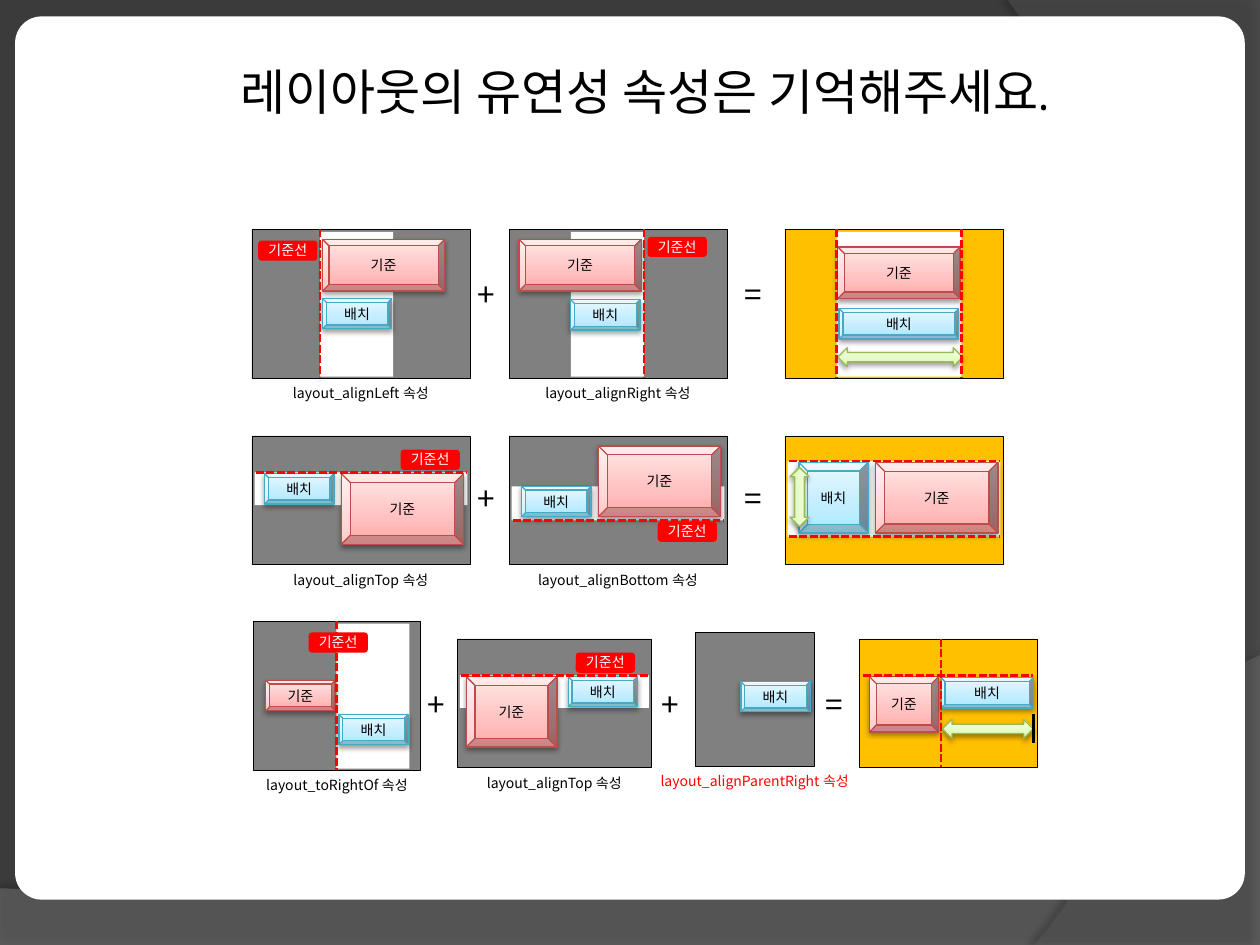
from dataclasses import dataclass
from itertools import pairwise
from typing import NamedTuple, Optional, Union

from lxml.etree import SubElement
from pptx import Presentation
from pptx.dml.color import RGBColor
from pptx.enum.dml import MSO_LINE
from pptx.enum.shapes import MSO_CONNECTOR, MSO_SHAPE as SHAPE
from pptx.enum.text import MSO_ANCHOR as ANCHOR, MSO_AUTO_SIZE as AUTO, PP_ALIGN as ALIGN
from pptx.oxml.ns import qn
from pptx.util import Cm, Pt


@dataclass(frozen=True)
class Theme:
    backdrop: str = "3B3B3B"
    sweep: str = "7F7F7F"
    side: str = "5E5E5E"
    black: str = "000000"
    white: str = "FFFFFF"
    red: str = "FF0000"
    grey: str = "808080"
    amber: str = "FFC000"
    pink: tuple = ("FFA6A5", "FFC0BF", "FFE7E7")
    pink_line: str = "BF4C48"
    blue: tuple = ("A7E6FF", "C1EDFF", "E7F8FF")
    blue_line: str = "46AAC5"
    green: tuple = ("DAFDA7", "E4FCC2", "F5FFE7")
    green_line: str = "98B955"
    font: str = "Noto Sans CJK KR"
    title_font: str = "Cambria"
    title: float = 28
    sign: float = 18
    small: float = 8


T = Theme()


class Shadow(NamedTuple):
    alpha: int
    blur: float
    dist: float
    angle: int


class Look(NamedTuple):
    geom: SHAPE
    fill: Union[str, tuple]
    w: float = 0
    h: float = 0
    line: Optional[str] = None
    width: float = 0.75
    shadow: Optional[Shadow] = None
    text: str = ""


SOFT = Shadow(38, 3.1, 1.6, 90)
GIVEN = Look(SHAPE.RECTANGLE, T.grey, line=T.black, width=0.25)
RESULT = GIVEN._replace(fill=T.amber)
BAND = Look(SHAPE.RECTANGLE, T.white)
BASE = Look(SHAPE.BEVEL, T.pink, 0.97, 0.56, T.pink_line, shadow=SOFT, text="기준")
LOW_BASE = BASE._replace(h=0.41)
PLACED = Look(SHAPE.BEVEL, T.blue, 0.55, 0.24, T.blue_line, shadow=SOFT, text="배치")
STRETCH = Look(SHAPE.LEFT_RIGHT_ARROW, T.green, 0.99, 0.15, T.green_line, shadow=SOFT)
TAG = Look(SHAPE.ROUNDED_RECTANGLE, T.red, 0.47, 0.16)
CARD = Look(SHAPE.ROUNDED_RECTANGLE, T.white, 9.76, 7.01)


class Block(NamedTuple):
    """Shape placed from its panel's corner; its look gives the usual size."""
    look: Look
    x: float
    y: float
    w: float = 0
    h: float = 0
    rotation: float = 0


class Strip(NamedTuple):
    """White band across a panel, with a guide on the named edges."""
    upright: bool
    start: float
    size: float = 0
    edges: str = "start"


class Panel(NamedTuple):
    x: float
    y: float
    w: float
    h: float
    strips: list
    blocks: list
    tag: Optional[tuple] = None
    caption: str = ""
    caption_w: float = 1.8
    caption_color: str = T.black


def panel_row(y: float, h: float, *contents: tuple) -> list:
    """Three equal panels on the shared columns."""
    return [Panel(x, y, 1.73, h, *content) for x, content in zip((2, 4.04, 6.23), contents)]


ROWS = {  # middle of the signs: panels
    2.33: panel_row(
        1.82, 1.18,
        ([Strip(True, 0.54, 0.58)], [Block(LOW_BASE, 0.56, 0.08), Block(PLACED, 0.56, 0.55)],
         (0.05, 0.09), "alignLeft"),
        ([Strip(True, 0.49, 0.58, "end")], [Block(LOW_BASE, 0.08, 0.08), Block(PLACED, 0.49, 0.56)],
         (1.1, 0.06), "alignRight"),
        ([Strip(True, 0.41, 0.99, "both")],
         [Block(LOW_BASE, 0.42, 0.14), Block(PLACED, 0.43, 0.63, 0.95), Block(STRETCH, 0.42, 0.94)])),
    3.95: panel_row(
        3.46, 1.02,
        ([Strip(False, 0.29, 0.26)], [Block(BASE, 0.71, 0.3), Block(PLACED, 0.1, 0.3)],
         (1.18, 0.11), "alignTop"),
        ([Strip(False, 0.4, 0.27, "end")], [Block(BASE, 0.71, 0.08), Block(PLACED, 0.1, 0.4)],
         (1.18, 0.68), "alignBottom", 2),
        ([Strip(False, 0.2, 0.6, "both")],
         [Block(BASE, 0.72, 0.21), Block(PLACED, 0.11, 0.21, h=BASE.h),
          Block(STRETCH, -0.12, 0.41, 0.47, rotation=90)])),
    5.59: [
        Panel(2.01, 4.93, 1.33, 1.18, [Strip(True, 0.66, 0.58)],
              [Block(BASE, 0.1, 0.47, PLACED.w, PLACED.h), Block(PLACED, 0.68, 0.74)],
              (0.44, 0.09), "toRightOf", 1.33),
        Panel(3.63, 5.07, 1.54, 1.02, [Strip(False, 0.29, 0.26)],
              [Block(BASE, 0.07, 0.3, 0.72), Block(PLACED, 0.88, 0.3)],
              (0.94, 0.11), "alignTop", 1.66),
        Panel(5.52, 5.02, 0.94, 1.06, [], [Block(PLACED, 0.36, 0.39)],
              None, "alignParentRight", 1.72, T.red),
        Panel(6.82, 5.07, 1.41, 1.02, [Strip(True, 0.65), Strip(False, 0.29)],
              [Block(BASE, 0.08, 0.3, 0.55, 0.44), Block(PLACED, 0.65, 0.31, 0.73),
               Block(STRETCH, 0.66, 0.64, 0.72)]),
    ],
}


def lengths(*inches: float) -> list:
    """Turn layout units (inches) into Cm lengths."""
    return [Cm(2.54 * v) for v in inches]


def add_shadow(sp, shadow: Optional[Shadow]) -> None:
    sp.shadow.inherit = False
    if shadow:
        outer = SubElement(sp._element.spPr.find(qn("a:effectLst")), qn("a:outerShdw"),
                           blurRad=str(Pt(shadow.blur)), dist=str(Pt(shadow.dist)),
                           dir=str(shadow.angle * 60000), algn="ctr", rotWithShape="0")
        color = SubElement(outer, qn("a:srgbClr"), val=T.black)
        SubElement(color, qn("a:alpha"), val=str(shadow.alpha * 1000))


def paint(fill, color: str) -> None:
    fill.solid()
    fill.fore_color.rgb = RGBColor.from_string(color)


def add_gradient(sp, colors: tuple) -> None:
    sp.fill.gradient()
    sp.fill.gradient_angle = 90
    stops = sp._element.spPr.find(qn("a:gradFill")).find(qn("a:gsLst"))
    for old in list(stops):
        stops.remove(old)
    for pos, color in zip((0, 35, 100), colors):
        stop = SubElement(stops, qn("a:gs"), pos=str(pos * 1000))
        SubElement(stop, qn("a:srgbClr"), val=color)


def write(sp, text: str, size: float, color: str = T.black, align: ALIGN = ALIGN.CENTER,
          font: str = T.font, **frame) -> None:
    tf = sp.text_frame
    for name, value in {"word_wrap": True, **frame}.items():
        setattr(tf, name, value)
    p = tf.paragraphs[0]
    p.alignment = align
    r = p.add_run()
    r.text = text
    for name, value in {"name": font, "size": Pt(size)}.items():
        setattr(r.font, name, value)
    r.font.color.rgb = RGBColor.from_string(color)
    SubElement(r._r.get_or_add_rPr(), qn("a:ea"), typeface=T.font)


def add_block(shapes, b: Block, left: float = 0, top: float = 0):
    look = b.look
    sp = shapes.add_shape(look.geom, *lengths(left + b.x, top + b.y, b.w or look.w, b.h or look.h))
    sp.rotation = b.rotation
    if isinstance(look.fill, tuple):
        add_gradient(sp, look.fill)
    else:
        paint(sp.fill, look.fill)
    if look.line:
        paint(sp.line.fill, look.line)
        sp.line.width = Pt(look.width)
    else:
        sp.line.fill.background()
    add_shadow(sp, look.shadow)
    if look.text:
        write(sp, look.text, T.small, vertical_anchor=ANCHOR.MIDDLE, margin_left=0,
              margin_right=0, margin_top=0, margin_bottom=0)
    return sp


def add_text(shapes, x: float, y: float, w: float, h: float, text: str, size: float, **fmt) -> None:
    write(shapes.add_textbox(*lengths(x, y, w, h)), text, size,
          **{"auto_size": AUTO.SHAPE_TO_FIT_TEXT, **fmt})


def add_line(shapes, ends: tuple, color: str = T.red, dash=MSO_LINE.SQUARE_DOT) -> None:
    c = shapes.add_connector(MSO_CONNECTOR.STRAIGHT, *lengths(*ends))
    paint(c.line.fill, color)
    c.line.width = Pt(1.5)
    c.line.dash_style = dash
    SubElement(c._element.spPr, qn("a:effectLst"))


def add_guides(shapes, p: Panel, strip: Strip) -> None:
    offsets = {"start": [0], "end": [strip.size], "both": [0, strip.size]}
    for offset in offsets[strip.edges]:
        at = strip.start + offset
        x, y = p.x + at, p.y + at
        add_line(shapes, (x, p.y, x, p.y + p.h) if strip.upright
                 else (p.x + 0.03, y, p.x + p.w - 0.03, y))


def add_panel(shapes, p: Panel) -> None:
    add_block(shapes, Block(GIVEN if p.caption else RESULT, p.x, p.y, p.w, p.h))
    for strip in p.strips:
        if strip.size:
            area = ((strip.start, 0.02, strip.size, p.h - 0.03) if strip.upright
                    else (0.02, strip.start, p.w - 0.04, strip.size))
            add_block(shapes, Block(BAND, *area), p.x, p.y)
    for b in p.blocks:
        add_block(shapes, b, p.x, p.y)
    for strip in p.strips:
        add_guides(shapes, p, strip)
    if p.tag:
        add_block(shapes, Block(TAG, *p.tag), p.x, p.y)
        x, y = p.tag
        add_text(shapes, p.x + x - 0.03, p.y + y - 0.04, 0.53, PLACED.h, "기준선", T.small,
                 color=T.white, margin_left=0, margin_right=0)
    if p.caption:
        add_text(shapes, p.x + (p.w - p.caption_w) / 2, p.y + p.h, p.caption_w, PLACED.h,
                 f"layout_{p.caption} 속성", T.small, color=p.caption_color,
                 vertical_anchor=ANCHOR.MIDDLE)


def add_sign(shapes, before: Panel, after: Panel, middle: float) -> None:
    x = (before.x + before.w + after.x) / 2
    add_text(shapes, x - 0.19, middle - 0.2, 0.38, 0.4, "+" if after.caption else "=", T.sign,
             align=ALIGN.LEFT, word_wrap=False)


def curve_point(points: list, t: float) -> tuple:
    """Point of a Bezier curve by repeated interpolation."""
    while len(points) > 1:
        points = [tuple(u + (v - u) * t for u, v in zip(a, b)) for a, b in pairwise(points)]
    return points[0]


def add_sweep(shapes, corners: list, curve: list, color: str, alpha: int, shadow: Shadow) -> None:
    """Translucent area of the backdrop, closed by a curve."""
    steps = 30
    outline = corners + [curve_point(curve, i / steps) for i in range(steps + 1)]
    start, *rest = [tuple(lengths(*pt)) for pt in outline]
    builder = shapes.build_freeform(*start)
    builder.add_line_segments(rest)
    sp = builder.convert_to_shape()
    paint(sp.fill, color)
    SubElement(sp._element.spPr.find(qn("a:solidFill"))[0], qn("a:alpha"), val=str(alpha * 1000))
    sp.line.fill.background()
    add_shadow(sp, shadow)


def main() -> None:
    prs = Presentation()
    prs.slide_width, prs.slide_height = lengths(10, 7.5)
    s = prs.slides.add_slide(prs.slide_layouts[6])
    paint(s.background.fill, T.backdrop)
    add_sweep(s.shapes, [(0, 7.5), (10, 7.5)], [(10, 5.2), (5.59, 7.29), (3.91, 7.19), (0, 7.05)],
              T.sweep, 45, Shadow(35, 4, 3.5, 270))
    add_sweep(s.shapes, [(10, 0), (10, 7.5)], [(8.21, 7.5), (9.35, 6.19), (10.18, 3), (8, 0)],
              T.side, 40, Shadow(45, 4, 4, 180))
    add_block(s.shapes, Block(CARD, 0.12, 0.13)).adjustments[0] = 0.03
    add_text(s.shapes, 0.51, 0.44, 9.21, 0.57, "레이아웃의 유연성 속성은 기억해주세요.", T.title,
             font=T.title_font)
    for middle, panels in ROWS.items():
        group = s.shapes.add_group_shape()
        for p in panels:
            add_panel(group.shapes, p)
        for before, after in pairwise(panels):
            add_sign(group.shapes, before, after, middle)
    add_line(s.shapes, (8.2, 5.67, 8.2, 5.9), T.black, None)
    prs.save("out.pptx")


if __name__ == "__main__":
    main()
